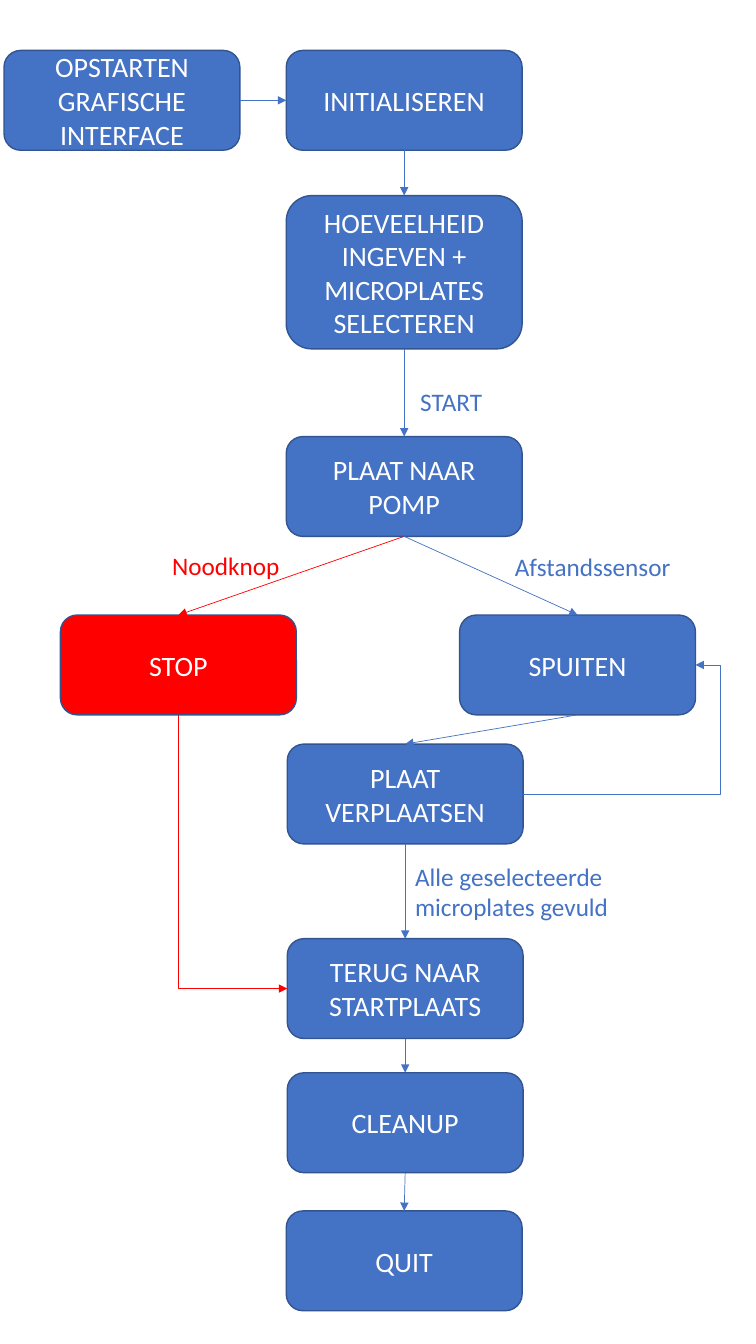
from dataclasses import dataclass

import pptx
import pptx.dml.color
import pptx.enum.shapes
import pptx.enum.text
import pptx.oxml
import pptx.oxml.ns
import pptx.util
from pptx.util import Inches

COLOURS = {"blue": "4472C4", "navy": "325491", "red": "FF0000", "white": "FFFFFF"}
TOP, LEFT, BOTTOM, RIGHT = range(4)
STEP_WIDTH, STEP_HEIGHT = 2.34, 0.99
STEP_FRAME = {
    "word_wrap": True,
    "vertical_anchor": pptx.enum.text.MSO_ANCHOR.MIDDLE,
    "margin_left": Inches(0.18),
    "margin_right": Inches(0.18),
    "margin_top": Inches(0.09),
    "margin_bottom": Inches(0.09),
}
LABEL_FRAME = {
    "word_wrap": False,
    "auto_size": pptx.enum.text.MSO_AUTO_SIZE.SHAPE_TO_FIT_TEXT,
}


@dataclass
class Step:
    text: str
    left: float
    top: float
    height: float = STEP_HEIGHT
    colour: str = "blue"


@dataclass
class Flow:
    source: str
    source_side: int
    target: str
    target_side: int
    colour: str = "blue"
    bend: str = ""


@dataclass
class Label:
    text: str
    left: float
    top: float
    width: float
    height: float = 0.4
    colour: str = "blue"


STEPS = {
    "launch": Step("OPSTARTEN GRAFISCHE INTERFACE", 0.04, 0.5),
    "initialise": Step("INITIALISEREN", 2.84, 0.5),
    "select": Step("HOEVEELHEID INGEVEN + MICROPLATES SELECTEREN", 2.84, 1.94, 1.52),
    "to_pump": Step("PLAAT NAAR POMP", 2.84, 4.33),
    "stop": Step("STOP", 0.6, 6.1, colour="red"),
    "spray": Step("SPUITEN", 4.56, 6.1),
    "move": Step("PLAAT VERPLAATSEN", 2.85, 7.38),
    "return": Step("TERUG NAAR STARTPLAATS", 2.85, 9.31),
    "cleanup": Step("CLEANUP", 2.85, 10.64),
    "quit": Step("QUIT", 2.84, 12.01),
}
FLOWS = [
    Flow("launch", RIGHT, "initialise", LEFT),
    Flow("initialise", BOTTOM, "select", TOP),
    Flow("select", BOTTOM, "to_pump", TOP),
    Flow("to_pump", BOTTOM, "stop", TOP, "red"),
    Flow("to_pump", BOTTOM, "spray", TOP),
    Flow("spray", BOTTOM, "move", TOP),
    Flow("move", RIGHT, "spray", RIGHT, bend="loop"),
    Flow("move", BOTTOM, "return", TOP),
    Flow("stop", BOTTOM, "return", LEFT, "red", "corner"),
    Flow("return", BOTTOM, "cleanup", TOP),
    Flow("cleanup", BOTTOM, "quit", TOP),
]
LABELS = [
    Label("START", 4.07, 3.78, 0.82),
    Label("Noodknop", 1.61, 5.41, 1.28, colour="red"),
    Label("Afstandssensor", 5.01, 5.42, 1.76),
    Label("Alle geselecteerde \vmicroplates gevuld", 4.02, 8.49, 2.14, 0.71),
]


def rgb(name: str) -> pptx.dml.color.RGBColor:
    return pptx.dml.color.RGBColor.from_string(COLOURS[name])


def write(frame, text: str, size: int, colour: str, settings: dict) -> None:
    for attribute, value in settings.items():
        setattr(frame, attribute, value)
    frame.text = text
    font = frame.paragraphs[0].runs[0].font
    for run in frame.paragraphs[0].runs:
        font = run.font
        for attribute, value in {"name": "Calibri", "size": pptx.util.Pt(size)}.items():
            setattr(font, attribute, value)
        font.color.rgb = rgb(colour)


def draw_step(slide, step: Step):
    box = slide.shapes.add_shape(
        pptx.enum.shapes.MSO_SHAPE.ROUNDED_RECTANGLE,
        *map(Inches, (step.left, step.top, STEP_WIDTH, step.height)),
    )
    box.shadow.inherit = False
    box.fill.solid()
    box.fill.fore_color.rgb = rgb(step.colour)
    box.line.color.rgb = rgb("navy")
    box.line.width = pptx.util.Pt(1)
    write(box.text_frame, step.text, 20, "white", STEP_FRAME)
    box.text_frame.paragraphs[0].alignment = pptx.enum.text.PP_ALIGN.CENTER
    return box


def draw_label(slide, label: Label) -> None:
    box = slide.shapes.add_textbox(
        *map(Inches, (label.left, label.top, label.width, label.height))
    )
    write(box.text_frame, label.text, 18, label.colour, LABEL_FRAME)


def bend_loop(connector) -> None:
    guides = connector._element.spPr.prstGeom.get_or_add_avLst()
    guide = pptx.oxml.parse_xml(
        f'<a:gd {pptx.oxml.ns.nsdecls("a")} name="adj1" fmla="val 114600"/>'
    )
    guides.append(guide)


def bend_corner(connector) -> None:
    width, height = connector.width, connector.height
    centre_x = connector.left + width // 2
    centre_y = connector.top + height // 2
    turned = {
        "left": centre_x - height // 2,
        "top": centre_y - width // 2,
        "width": height,
        "height": width,
    }
    for attribute, value in turned.items():
        setattr(connector, attribute, value)
    properties = connector._element.spPr
    properties.prstGeom.set("prst", "bentConnector2")
    for attribute, value in {"rot": "16200000", "flipH": "1"}.items():
        properties.xfrm.set(attribute, value)


BENDS = {"loop": bend_loop, "corner": bend_corner}


def draw_flow(slide, flow: Flow, boxes: dict) -> None:
    kinds = pptx.enum.shapes.MSO_CONNECTOR
    connector = slide.shapes.add_connector(
        kinds.ELBOW if flow.bend else kinds.STRAIGHT, 0, 0, 0, 0
    )
    connector.begin_connect(boxes[flow.source], flow.source_side)
    connector.end_connect(boxes[flow.target], flow.target_side)
    connector.line.color.rgb = rgb(flow.colour)
    connector.line.width = pptx.util.Pt(0.5)
    namespace = pptx.oxml.ns.nsdecls("a")
    connector.line._get_or_add_ln().append(
        pptx.oxml.parse_xml(f'<a:tailEnd {namespace} type="triangle"/>')
    )
    connector._element.spPr.append(pptx.oxml.parse_xml(f"<a:effectLst {namespace}/>"))
    if flow.bend:
        BENDS[flow.bend](connector)


def main() -> None:
    deck = pptx.Presentation()
    deck.slide_width, deck.slide_height = Inches(7.5), Inches(13.33)
    slide = deck.slides.add_slide(deck.slide_layouts[6])
    boxes = {key: draw_step(slide, step) for key, step in STEPS.items()}
    for flow in FLOWS:
        draw_flow(slide, flow, boxes)
    for label in LABELS:
        draw_label(slide, label)
    deck.save("out.pptx")


if __name__ == "__main__":
    main()
